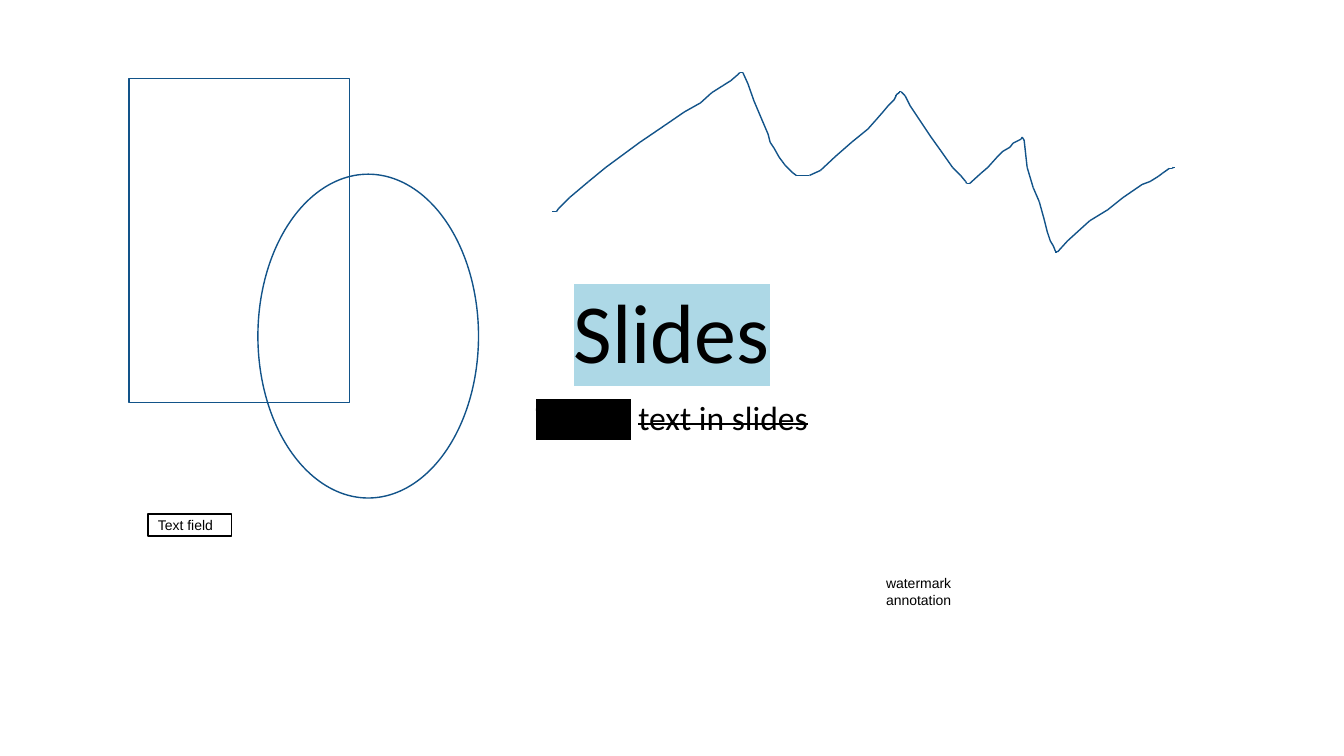
from itertools import pairwise

from lxml.etree import SubElement
from pptx import Presentation
from pptx.dml.color import RGBColor
from pptx.enum.shapes import MSO_CONNECTOR as CONNECTOR, MSO_SHAPE as SHAPE
from pptx.enum.text import MSO_ANCHOR as ANCHOR, MSO_AUTO_SIZE as AUTO_SIZE, PP_ALIGN as ALIGN
from pptx.oxml.ns import qn
from pptx.util import Cm, Pt

BLACK = RGBColor(0x00, 0x00, 0x00)
BLUE = RGBColor(0x12, 0x53, 0x89)
LIGHT_BLUE = RGBColor(0xAD, 0xD8, 0xE6)

TITLE = {"name": "Calibri", "size": Pt(60)}
SUBTITLE = {"name": "Calibri", "size": Pt(24)}
LABEL = {"name": "Arial", "size": Pt(10)}
HEADING = {"alignment": ALIGN.CENTER, "line_spacing": 0.9, "space_before": Pt(0)}
LEFT = {"alignment": ALIGN.LEFT}

STROKE_SPAN = 618
STROKE = [
    (0, 138), (4, 138), (6, 135), (17, 124), (36, 108), (53, 94), (72, 80), (87, 69),
    (112, 52), (131, 39), (147, 30), (158, 20), (169, 13), (177, 8), (184, 2), (186, 0),
    (189, 0), (194, 11), (200, 28), (208, 47), (214, 61), (216, 69), (220, 75), (225, 84),
    (228, 88), (231, 92), (238, 99), (242, 102), (244, 102), (245, 102), (247, 102),
    (249, 102), (255, 102), (266, 97), (281, 83), (297, 69), (313, 56), (321, 47),
    (328, 39), (333, 33), (339, 27), (341, 23), (341, 22), (344, 20), (344, 19), (346, 19),
    (350, 23), (355, 33), (363, 45), (375, 63), (385, 77), (397, 94), (405, 102),
    (410, 108), (411, 110), (413, 110), (414, 110), (425, 100), (432, 94), (441, 84),
    (447, 78), (454, 74), (457, 70), (463, 67), (465, 66), (466, 64), (468, 67), (471, 94),
    (477, 114), (483, 128), (488, 146), (491, 158), (494, 167), (497, 172), (499, 177),
    (499, 178), (501, 178), (511, 167), (533, 147), (551, 136), (566, 124), (585, 111),
    (593, 108), (601, 103), (605, 100), (612, 95), (615, 95), (616, 94), (618, 94),
]


def apply(target, values):
    for key, value in values.items():
        setattr(target, key, value)


def add_run(p, text, font, highlight=None, strike=False):
    r = p.add_run()
    r.text = text
    apply(r.font, font)
    r.font.color.rgb = BLACK
    rPr = r.font._element
    if highlight is not None:
        mark = SubElement(rPr, qn("a:highlight"))
        SubElement(mark, qn("a:srgbClr")).set("val", str(highlight))
        rPr.find(qn("a:latin")).addprevious(mark)
    if strike:
        rPr.set("strike", "sngStrike")


def first_paragraph(sp, frame, paragraph):
    apply(sp.text_frame, frame)
    p = sp.text_frame.paragraphs[0]
    apply(p, paragraph)
    return p


def add_outline(s, shape, box, color):
    sp = s.shapes.add_shape(shape, *box)
    sp.shadow.inherit = False
    sp.fill.background()
    sp.line.color.rgb = color
    sp.line.width = Pt(1)
    return sp


def add_headings(s, left, top, width, height):
    title, subtitle = s.shapes.title, s.placeholders[1]
    title_height, subtitle_top = Cm(6.63), Cm(6.88)
    apply(title, {"left": left, "top": top, "width": width, "height": title_height})
    apply(subtitle, {"left": left, "top": top + subtitle_top,
                     "width": width, "height": height - subtitle_top})
    frame = {"auto_size": AUTO_SIZE.NONE, "word_wrap": True}
    p = first_paragraph(title, {**frame, "vertical_anchor": ANCHOR.BOTTOM}, HEADING)
    add_run(p, "Slides", TITLE, LIGHT_BLUE)
    p = first_paragraph(subtitle, {**frame, "vertical_anchor": ANCHOR.TOP}, HEADING)
    add_run(p, "Testing", SUBTITLE, BLACK)
    add_run(p, " ", SUBTITLE)
    add_run(p, "text in slides", SUBTITLE, strike=True)


def add_outlines(s, left, top, width, height):
    dx, dy = Cm(3.25), Cm(2.41)
    for i, shape in enumerate((SHAPE.RECTANGLE, SHAPE.OVAL)):
        box = (left + i * dx, top + i * dy, width - dx, height - dy)
        add_outline(s, shape, box, BLUE)


def add_stroke(s, left, top, width):
    scale = width / STROKE_SPAN
    points = [(round(left + x * scale), round(top + y * scale)) for x, y in STROKE]
    group = s.shapes.add_group_shape()
    for start, end in pairwise(points):
        line = group.shapes.add_connector(CONNECTOR.STRAIGHT, *start, *end)
        line.line.color.rgb = BLUE
        line.line.width = Pt(1)
        SubElement(line._element.spPr, qn("a:effectLst"))


def add_text_field(s, *box):
    sp = add_outline(s, SHAPE.RECTANGLE, box, BLACK)
    p = first_paragraph(sp, {"vertical_anchor": ANCHOR.MIDDLE, "word_wrap": True}, LEFT)
    add_run(p, "Text field", LABEL)


def add_annotation(s, *box):
    sp = s.shapes.add_textbox(*box)
    frame = {"vertical_anchor": ANCHOR.MIDDLE, "word_wrap": False, "margin_left": Cm(0)}
    add_run(first_paragraph(sp, frame, LEFT), "watermark annotation", LABEL)


def main():
    prs = Presentation()
    prs.slide_width, prs.slide_height = Cm(33.87), Cm(19.05)
    s = prs.slides.add_slide(prs.slide_layouts[0])
    add_headings(s, Cm(4.23), Cm(3.12), Cm(25.4), Cm(11.48))
    add_outlines(s, Cm(3.25), Cm(1.98), Cm(8.81), Cm(10.57))
    add_stroke(s, Cm(13.92), Cm(1.83), Cm(15.7))
    add_text_field(s, Cm(3.73), Cm(12.95), Cm(2.11), Cm(0.56))
    add_annotation(s, Cm(22.33), Cm(14.68), Cm(3.38), Cm(0.43))
    prs.save("out.pptx")


if __name__ == "__main__":
    main()
